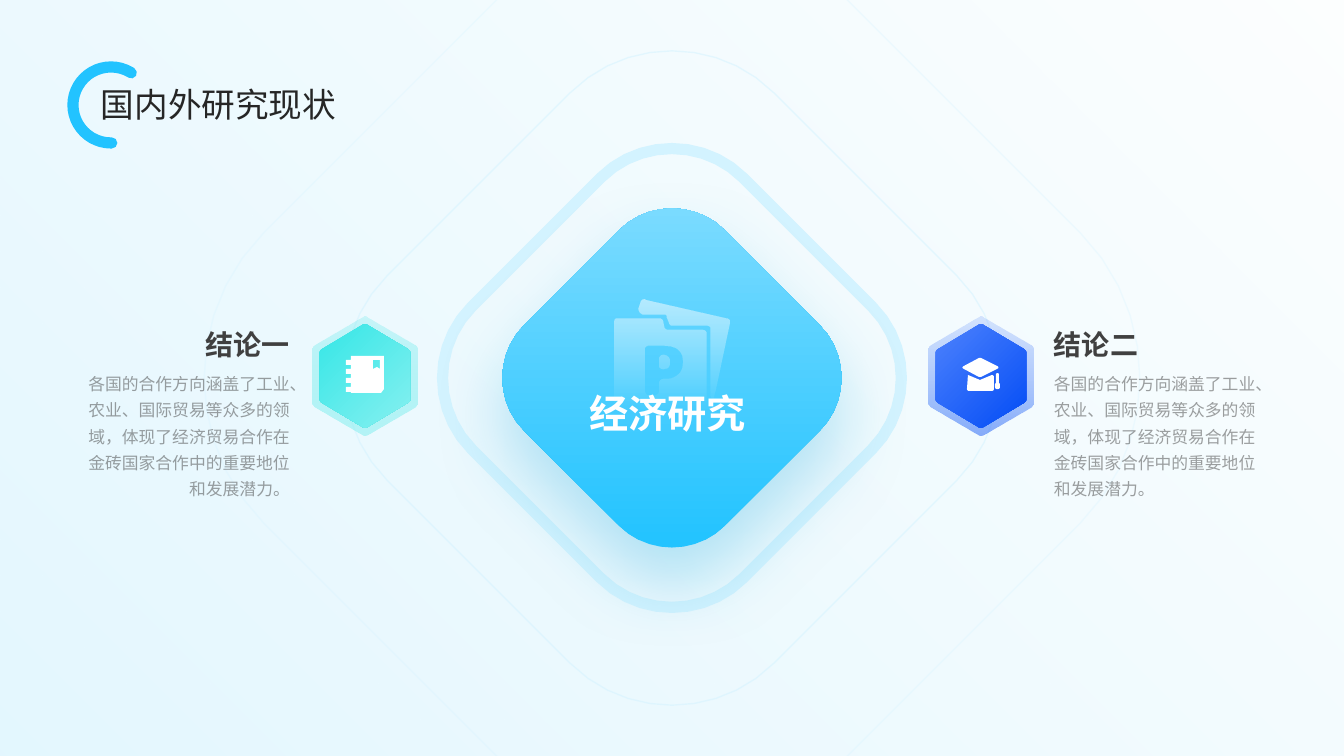
from lxml.etree import SubElement
from pptx import Presentation
from pptx.dml.color import RGBColor
from pptx.enum.shapes import MSO_SHAPE as Preset
from pptx.enum.text import MSO_ANCHOR as Anchor, MSO_AUTO_SIZE as AutoSize, PP_ALIGN as Align
from pptx.oxml.ns import qn
from pptx.util import Pt

EMU_PER_PX = 12192000 / 1344
SKY, PALE, AQUA, MINT = "22C3FF", "D3F3FF", "35E6E6", "86F0F0"
AZURE, ROYAL, INK, WHITE = "4D82FD", "034CF5", "404040", "FFFFFF"
CENTRE = (672, 378)


def emu(px):
    """Turn px into EMU."""
    return round(px * EMU_PER_PX)


def rgb(code):
    """Turn a hex string into a colour."""
    return RGBColor.from_string(code)


def set_alpha(colour, percent):
    """Make a colour element see-through."""
    if percent < 100:
        SubElement(colour, qn("a:alpha"), val=str(percent * 1000))


def trace(contour, steps=10):
    """Flatten a contour whose six-number items are cubic curves."""
    points = [contour[0]]
    for item in contour[1:]:
        if len(item) == 2:
            points.append(item)
            continue
        curve = [points[-1], item[:2], item[2:4], item[4:]]
        for step in range(1, steps + 1):
            t = step / steps
            weights = ((1 - t) ** 3, 3 * t * (1 - t) ** 2, 3 * t * t * (1 - t), t ** 3)
            points.append(tuple(sum(w * p[axis] for w, p in zip(weights, curve)) for axis in (0, 1)))
    return points


def place(contour, centre, half):
    """Scale a unit contour and move it to its centre."""
    return [tuple(centre[i % 2] + half * v for i, v in enumerate(item)) for item in contour]


def unit_diamond():
    """Give a diamond with rounded corners and half width one."""
    outline = [(-0.87, -0.31)]
    for sx, sy, upright in ((-1, -1, True), (1, -1, False), (1, 1, True), (-1, 1, False)):
        if upright:
            outline += [(sx * 0.31, sy * 0.87),
                        (sx * 0.14, sy * 1.04, -sx * 0.14, sy * 1.04, -sx * 0.31, sy * 0.87)]
        else:
            outline += [(sx * 0.87, sy * 0.31),
                        (sx * 1.04, sy * 0.14, sx * 1.04, -sy * 0.14, sx * 0.87, -sy * 0.31)]
    return outline


def unit_hexagon():
    """Give a hexagon with rounded corners and half height one."""
    right = [(0.05, -0.98), (0.82, -0.52), (0.85, -0.5, 0.87, -0.48, 0.87, -0.45),
             (0.87, 0.45), (0.87, 0.48, 0.85, 0.5, 0.82, 0.52), (0.05, 0.98)]
    left = [(-0.05, 0.98), (-0.82, 0.52), (-0.85, 0.5, -0.87, 0.48, -0.87, 0.45),
            (-0.87, -0.45), (-0.87, -0.48, -0.85, -0.5, -0.82, -0.52), (-0.05, -0.98)]
    return (right + [(0.02, 1, -0.02, 1, -0.05, 0.98)] + left[1:]
            + [(-0.02, -1, 0.02, -1, 0.05, -0.98)])


def notebook():
    """Give the notebook icon with its four rings and bookmark."""
    rings = [point for y in range(360, 391, 9)
             for point in ((351, y), (346, y), (346, y + 5), (351, y + 5))]
    cover = [(351, 356)] + rings + [(351, 393), (381, 393), (384, 389), (384, 356)]
    return [cover, [(373, 360), (380, 360), (380, 369), (377, 367), (373, 369)]]


def graduation_cap():
    """Give the cap icon as base, tassel and board."""
    base = [(968, 375), (980, 380), (992, 375), (993, 375, 994, 376, 994, 377),
            (994, 389), (994, 390, 993, 391, 992, 391), (969, 391), (968, 391, 967, 390, 967, 389)]
    tassel = [(996, 374), (996, 373, 999, 373, 999, 374), (999, 383), (1000, 384),
              (1000, 387), (1000, 390, 995, 390, 995, 387), (995, 384), (996, 383)]
    board = [(979, 358), (980, 358, 980, 358, 981, 358), (997, 366), (999, 367, 999, 368, 997, 369),
             (981, 377), (980, 377, 980, 377, 979, 377), (964, 369), (962, 368, 962, 367, 964, 366)]
    return [base, tassel, board]


def folder():
    """Give the folder icon with its cut-out letter and back sheet."""
    bowl = [(663, 355), (668, 355, 670, 358, 670, 362), (670, 367, 668, 369, 664, 369),
            (663, 369), (661, 369, 659, 368, 659, 366), (659, 359), (659, 357, 661, 355, 663, 355)]
    letter = [(649, 346), (647, 346, 645, 347, 645, 349), (645, 391), (645, 393, 647, 395, 649, 395),
              (655, 395), (657, 395, 659, 393, 659, 391), (659, 383), (659, 381, 661, 379, 663, 379),
              (666, 379), (676, 379, 683, 372, 683, 362), (683, 352, 676, 346, 665, 346)]
    front = [(618, 319), (659, 319), (661, 319, 663, 320, 663, 322), (664, 327),
             (665, 329, 666, 330, 668, 330), (702, 330), (704, 330, 706, 332, 706, 334), (706, 407),
             (706, 409, 704, 410, 702, 410), (618, 410), (616, 410, 615, 409, 615, 407),
             (615, 323), (615, 320, 616, 319, 618, 319)]
    back = [(645, 300), (727, 319), (729, 320, 730, 322, 729, 324), (713, 399),
            (711, 398, 710, 397, 710, 395), (710, 329), (710, 327, 708, 326, 706, 326), (672, 326),
            (670, 326, 669, 324, 669, 323), (667, 318), (667, 316, 666, 315, 664, 315), (643, 315),
            (640, 314, 639, 311, 639, 309), (641, 303), (641, 301, 643, 300, 645, 300)]
    return [bowl, letter, front, back]


class Canvas:
    """Hold the style and the current slide."""

    def __init__(self, slide, font="Lato"):
        self.slide, self.shapes, self.font = slide, slide.shapes, font

    def paint(self, shape, fill=None, angle=0, line=None, width=1, alpha=100, shadow=None):
        """Set fill, line and shadow of a shape."""
        shape.shadow.inherit = False
        if fill is None:
            shape.fill.background()
        elif isinstance(fill, str):
            shape.fill.solid()
            shape.fill.fore_color.rgb = rgb(fill)
        else:
            shape.fill.gradient()
            shape.fill.gradient_angle = 360 - angle
            for stop, (code, _) in zip(shape.fill.gradient_stops, fill):
                stop.color.rgb = rgb(code)
            for colour, (_, percent) in zip(shape.element.xpath(".//a:gs/a:srgbClr"), fill):
                set_alpha(colour, percent)
        if line:
            shape.line.color.rgb = rgb(line)
            shape.line.width = Pt(width)
            set_alpha(shape.element.xpath(".//a:ln//a:srgbClr")[0], alpha)
        else:
            shape.line.fill.background()
        if shadow:
            code, percent, distance, blur = shadow
            effects = shape.element.spPr.find(qn("a:effectLst"))
            outer = SubElement(effects, qn("a:outerShdw"), blurRad=str(Pt(blur)), dist=str(Pt(distance)),
                               dir="5400000", algn="ctr", rotWithShape="0")
            set_alpha(SubElement(outer, qn("a:srgbClr"), val=code), percent)
        return shape

    def preset(self, kind, box, **look):
        """Add a preset shape."""
        return self.paint(self.shapes.add_shape(kind, *map(emu, box)), **look)

    def outline(self, contours, **look):
        """Add a freeform made of closed contours."""
        builder = None
        for contour in contours:
            start, *rest = [(emu(x), emu(y)) for x, y in trace(contour)]
            if builder is None:
                builder = self.shapes.build_freeform(*start)
            else:
                builder.move_to(*start)
            builder.add_line_segments(rest, close=True)
        return self.paint(builder.convert_to_shape(), **look)

    def letter(self, holder, words, size, colour, align=Align.LEFT, anchor=Anchor.TOP,
               bold=False, spacing=1.0, alpha=100, font=None, inset=(7, 4)):
        """Put one formatted run into a text holder."""
        frame = holder.text_frame
        frame.word_wrap, frame.auto_size, frame.vertical_anchor = True, AutoSize.NONE, anchor
        frame.margin_left = frame.margin_right = emu(inset[0])
        frame.margin_top = frame.margin_bottom = emu(inset[1])
        paragraph = frame.paragraphs[0]
        paragraph.alignment, paragraph.line_spacing = align, spacing
        run = paragraph.add_run()
        run.text = words
        run.font.name, run.font.size, run.font.bold = font or self.font, Pt(size), bold
        run.font.color.rgb = rgb(colour)
        set_alpha(holder.element.xpath(".//a:rPr//a:srgbClr")[0], alpha)

    def text(self, box, words, size, colour, **look):
        """Add a text box."""
        self.letter(self.shapes.add_textbox(*map(emu, box)), words, size, colour, **look)

    def title(self, box, words, size, colour, **look):
        """Move and fill the title placeholder."""
        holder = self.shapes.title
        holder.left, holder.top, holder.width, holder.height = map(emu, box)
        self.letter(holder, words, size, colour, **look)
        return holder


def main():
    """Build the slide and save it."""
    deck = Presentation()
    deck.slide_width, deck.slide_height = emu(1344), emu(756)
    canvas = Canvas(deck.slides.add_slide(deck.slide_layouts[5]))

    heading = canvas.title((91, 81, 307, 49), "国内外研究现状", 24, "262626", anchor=Anchor.BOTTOM,
                           spacing=0.9, font="Karla", inset=(10, 5))
    backdrop = canvas.preset(Preset.RECTANGLE, (0, 0, 1344, 756), fill=[(PALE, 6), (PALE, 62)], angle=135)
    heading.element.addprevious(backdrop.element)
    swoosh = canvas.preset(Preset.ARC, (73, 67, 76, 76), line=SKY, width=8)
    swoosh.adjustments[0], swoosh.adjustments[1] = 53.28, 181.39
    swoosh.element.xpath(".//a:ln")[0].set("cap", "rnd")

    diamond, hexagon = unit_diamond(), unit_hexagon()
    for half, width, alpha in ((469, 1, 25), (230, 8, 100), (328, 1, 50)):
        canvas.outline([place(diamond, CENTRE, half)], line=PALE, width=width, alpha=alpha)
    canvas.outline([place(diamond, CENTRE, 170)], fill=[(SKY, 100), ("7ADBFF", 100)], angle=270,
                   shadow=("009ED9", 25, 26, 50))

    finding = "各国的合作方向涵盖了工业、农业、国际贸易等众多的领域，体现了经济贸易合作在金砖国家合作中的重要地位和发展潜力。"
    conclusions = (("结论一", 68, 73, Align.RIGHT, 365, (AQUA, MINT), 55, notebook()),
                   ("结论二", 1047, 1047, Align.LEFT, 981, (AZURE, ROYAL), 46, graduation_cap()))
    for name, name_x, body_x, align, badge_x, (light, deep), veil, icon in conclusions:
        canvas.text((name_x, 323, 229, 42), name, 20, INK, align=align, anchor=Anchor.MIDDLE, bold=True)
        canvas.text((body_x, 364, 224, 140), finding, 12, INK, align=align, spacing=1.3, alpha=50)
        badge = (badge_x, 376)
        canvas.outline([place(hexagon, badge, 60)], fill=[(light, 20), (deep, veil)], angle=90)
        canvas.outline([place(hexagon, badge, 52)], fill=[(light, 100), (deep, 100)], angle=45)
        canvas.outline(icon, fill=WHITE)

    canvas.text((553, 379, 229, 67), "经济研究", 28, WHITE, align=Align.CENTER, anchor=Anchor.MIDDLE, bold=True)
    canvas.outline(folder(), fill=[(WHITE, 0), (WHITE, 54)], angle=270)
    deck.save("out.pptx")


if __name__ == "__main__":
    main()
